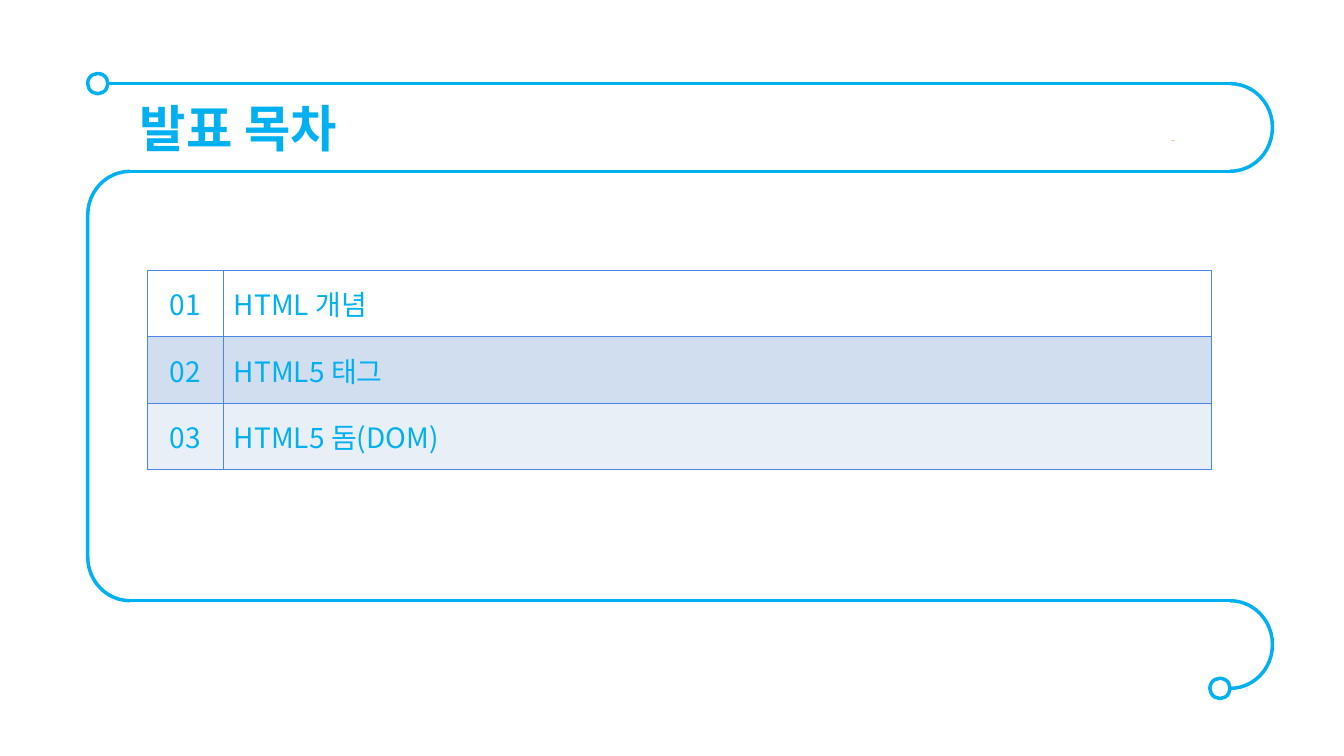
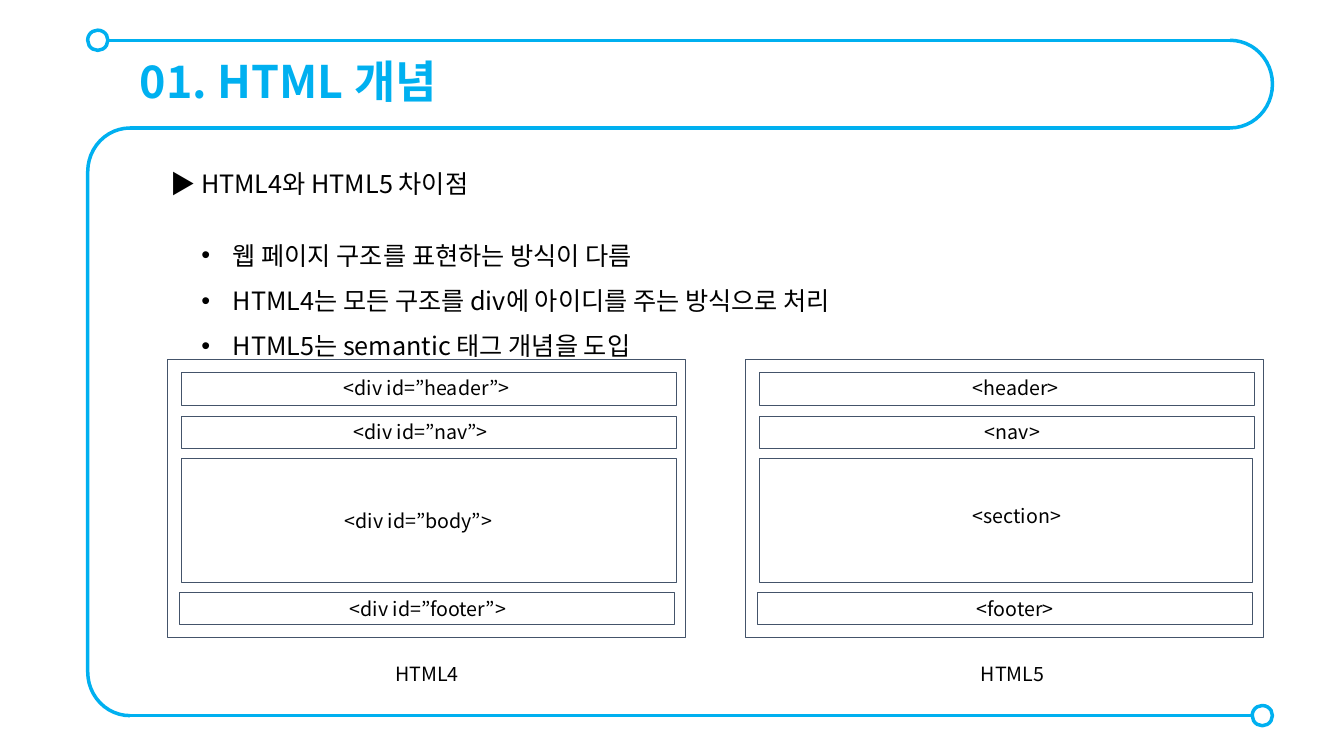
from dataclasses import dataclass

from lxml import etree
from pptx import Presentation
from pptx.dml.color import RGBColor
from pptx.enum.shapes import MSO_CONNECTOR, MSO_SHAPE
from pptx.enum.text import MSO_ANCHOR, PP_ALIGN
from pptx.oxml.ns import qn
from pptx.util import Inches, Pt

STRAIGHT = MSO_CONNECTOR.STRAIGHT
RECT, OVAL = MSO_SHAPE.RECTANGLE, MSO_SHAPE.OVAL
KNOB = MSO_SHAPE.ROUND_2_SAME_RECTANGLE
LEFT_BRACKET, RIGHT_BRACKET = MSO_SHAPE.LEFT_BRACKET, MSO_SHAPE.RIGHT_BRACKET
LEFT, CENTER = PP_ALIGN.LEFT, PP_ALIGN.CENTER
TOP, MIDDLE = MSO_ANCHOR.TOP, MSO_ANCHOR.MIDDLE

FONT = "Noto Sans CJK KR"
COLORS = {
    "accent": "00B0F0", "text": "000000", "white": "FFFFFF", "box": "44546A",
    "grid": "4A86E8", "band_dark": "D0DEEF", "band_light": "E9EFF7", "dot": "FCBC85",
}
FORMATS = {
    "cell": {"size": Pt(20)},
    "body": {"size": Pt(18)},
    "label": {"size": Pt(14)},
}

# Ribbon frame
FRAME_LEFT, FRAME_RIGHT = 0.87, 12.62
BEND, BAND_HEIGHT, KNOB_SIZE = 0.42, 0.87, 0.2
RIBBON_WIDTH = 2.5

# Page layout diagrams
PANEL_TOP, PANEL_WIDTH, PANEL_HEIGHT = 3.57, 5.14, 2.75
LABEL_HEIGHT, CAPTION_TOP = 0.44, 6.47


@dataclass(frozen=True)
class Region:
    """One area of a page layout; left is measured from its panel."""
    left: float
    top: float
    width: float
    height: float
    text: str
    label_left: float
    label_top: float
    label_width: float


@dataclass(frozen=True)
class Panel:
    left: float
    caption: str
    caption_left: float
    regions: tuple[Region, ...]


PANELS = (
    Panel(1.66, "HTML4", 3.82, (
        Region(0.14, 3.7, 4.91, 0.32, "<div id=”header”>", 3.31, 3.63, 1.93),
        Region(0.14, 4.13, 4.91, 0.32, "<div id=”nav”>", 3.41, 4.07, 1.74),
        Region(0.14, 4.55, 4.91, 1.23, "<div id=”body”>", 3.32, 4.95, 1.74),
        Region(0.12, 5.88, 4.91, 0.32, "<div id=”footer”>", 3.37, 5.82, 1.9),
    )),
    Panel(7.39, "HTML5", 9.63, (
        Region(0.14, 3.7, 4.91, 0.32, "<header>", 9.55, 3.63, 1.09),
        Region(0.14, 4.13, 4.91, 0.32, "<nav>", 9.67, 4.07, 1.05),
        Region(0.14, 4.55, 4.89, 1.23, "<section>", 9.55, 4.9, 1.17),
        Region(0.12, 5.88, 4.91, 0.32, "<footer>", 9.59, 5.82, 1.05),
    )),
)
AGENDA = (
    ("01", "HTML 개념", "white"),
    ("02", "HTML5 태그", "band_dark"),
    ("03", "HTML5 돔(DOM)", "band_light"),
)
DIFFERENCES = (
    "웹 페이지 구조를 표현하는 방식이 다름",
    "HTML4는 모든 구조를 div에 아이디를 주는 방식으로 처리",
    "HTML5는 semantic 태그 개념을 도입",
)


def rgb(name: str) -> RGBColor:
    return RGBColor.from_string(COLORS[name])


def add_run(p, text: str, color: str, values: dict) -> None:
    r = p.add_run()
    r.text = text
    for key, value in {"name": FONT, **values}.items():
        setattr(r.font, key, value)
    r.font.color.rgb = rgb(color)
    etree.SubElement(r.font._element, qn("a:ea"), typeface=FONT)


def add_text(slide, left: float, top: float, width: float, height: float,
             lines: tuple[str, ...], values: dict, color: str = "text",
             inset: float = 0.05, bullets: bool = False) -> None:
    sp = slide.shapes.add_textbox(Inches(left), Inches(top), Inches(width), Inches(height))
    tf = sp.text_frame
    frame_values = {"word_wrap": True, "vertical_anchor": TOP,
                    "margin_top": Inches(inset), "margin_bottom": Inches(inset)}
    for key, value in frame_values.items():
        setattr(tf, key, value)
    for i, line in enumerate(lines):
        p = tf.add_paragraph() if i else tf.paragraphs[0]
        if bullets:
            add_bullet(p)
        add_run(p, line, color, values)


def add_bullet(p) -> None:
    p.line_spacing = 1.5
    pr = p._p.get_or_add_pPr()
    indent = Inches(0.31)
    pr.set("marL", str(indent))
    pr.set("indent", str(-indent))
    etree.SubElement(pr, qn("a:buFont"), typeface="Arial")
    etree.SubElement(pr, qn("a:buChar"), char="•")


def add_shape(slide, kind, left: float, top: float, width: float, height: float,
              line: str | None = None, weight: float = 0.75, fill: str | None = None):
    sp = slide.shapes.add_shape(kind, Inches(left), Inches(top), Inches(width), Inches(height))
    sp.shadow.inherit = False
    if fill:
        sp.fill.solid()
        sp.fill.fore_color.rgb = rgb(fill)
    else:
        sp.fill.background()
    if line:
        sp.line.color.rgb = rgb(line)
        sp.line.width = Pt(weight)
    else:
        sp.line.fill.background()
    return sp


def add_rule(slide, x1: float, x2: float, y: float) -> None:
    """Draw a horizontal stretch of the ribbon."""
    cx = slide.shapes.add_connector(STRAIGHT, Inches(x1), Inches(y), Inches(x2), Inches(y))
    cx.line.color.rgb = rgb("accent")
    cx.line.width = Pt(RIBBON_WIDTH)
    etree.SubElement(cx._element.spPr, qn("a:effectLst"))


def add_bend(slide, kind, left: float, top: float, height: float) -> None:
    sp = add_shape(slide, kind, left, top, BEND, height, "accent", RIBBON_WIDTH)
    sp.adjustments[0] = 1.03


def add_knob(slide, left: float, y: float) -> None:
    """Draw a ribbon end, centred on height y."""
    sp = add_shape(slide, KNOB, left, y - KNOB_SIZE / 2, KNOB_SIZE, KNOB_SIZE,
                   "accent", RIBBON_WIDTH, "white")
    sp.adjustments[0] = 0.49
    sp.adjustments[1] = 0.5


def add_frame(slide, top: float, bottom: float, tail: bool) -> None:
    """Draw the ribbon; a tail curls once more below the body."""
    bend_left, bend_right = FRAME_LEFT + BEND, FRAME_RIGHT - BEND
    body_top = top + BAND_HEIGHT
    end_left = (bend_right if tail else FRAME_RIGHT) - KNOB_SIZE
    add_rule(slide, FRAME_LEFT + KNOB_SIZE, bend_right, top)
    add_bend(slide, RIGHT_BRACKET, bend_right, top, BAND_HEIGHT)
    add_rule(slide, bend_left, bend_right, body_top)
    add_bend(slide, LEFT_BRACKET, FRAME_LEFT, body_top, bottom - body_top)
    add_rule(slide, bend_left, bend_right if tail else end_left, bottom)
    if tail:
        add_bend(slide, RIGHT_BRACKET, bend_right, bottom, BAND_HEIGHT)
    add_knob(slide, FRAME_LEFT, top)
    add_knob(slide, end_left, bottom + BAND_HEIGHT if tail else bottom)


def add_title(slide, text: str, top: float, height: float, size: int) -> None:
    add_text(slide, 1.29, top, 8.3, height, (text,), {"size": Pt(size), "bold": True}, "accent")


def set_borders(cell) -> None:
    pr = cell._tc.get_or_add_tcPr()
    for i, side in enumerate(("lnL", "lnR", "lnT", "lnB")):
        ln = etree.Element(qn(f"a:{side}"), w=str(Pt(1)))
        fill = etree.SubElement(ln, qn("a:solidFill"))
        etree.SubElement(fill, qn("a:srgbClr"), val=COLORS["grid"])
        pr.insert(i, ln)


def add_agenda(slide) -> None:
    widths, row_height = (0.76, 9.8), 0.66
    table = slide.shapes.add_table(
        len(AGENDA), len(widths), Inches(1.46), Inches(2.68),
        Inches(sum(widths)), Inches(row_height * len(AGENDA))).table
    for column, width in zip(table.columns, widths):
        column.width = Inches(width)
    for row, (number, topic, fill) in zip(table.rows, AGENDA):
        row.height = Inches(row_height)
        for cell, text, align in zip(row.cells, (number, topic), (CENTER, LEFT)):
            cell.fill.solid()
            cell.fill.fore_color.rgb = rgb(fill)
            cell.vertical_anchor = MIDDLE
            set_borders(cell)
            p = cell.text_frame.paragraphs[0]
            p.alignment = align
            add_run(p, text, "accent", FORMATS["cell"])


def add_panel(slide, panel: Panel) -> None:
    add_shape(slide, RECT, panel.left, PANEL_TOP, PANEL_WIDTH, PANEL_HEIGHT, "box")
    for g in panel.regions:
        add_shape(slide, RECT, panel.left + g.left, g.top, g.width, g.height, "box")
        add_text(slide, g.label_left, g.label_top, g.label_width, LABEL_HEIGHT,
                 (g.text,), FORMATS["label"], inset=0.1)
    add_text(slide, panel.caption_left, CAPTION_TOP, 0.9, LABEL_HEIGHT,
             (panel.caption,), FORMATS["label"], inset=0.1)


def build_agenda_slide(slide) -> None:
    add_title(slide, "발표 목차", 0.91, 0.71, 36)
    add_agenda(slide)
    add_frame(slide, 0.83, 5.96, tail=True)
    add_shape(slide, OVAL, 11.62, 1.39, 0.03, 0.01, fill="dot")


def build_concept_slide(slide) -> None:
    add_frame(slide, 0.4, 7.1, tail=False)
    add_title(slide, "01. HTML 개념", 0.48, 0.64, 32)
    add_text(slide, 1.59, 1.62, 3.87, 0.4, ("▶ HTML4와 HTML5 차이점",), FORMATS["body"])
    add_text(slide, 1.9, 2.18, 10.15, 1.31, DIFFERENCES, FORMATS["body"], bullets=True)
    for panel in PANELS:
        add_panel(slide, panel)


def main() -> None:
    prs = Presentation()
    prs.slide_width, prs.slide_height = Inches(13.33), Inches(7.5)
    blank = prs.slide_layouts[6]
    for build in (build_agenda_slide, build_concept_slide):
        build(prs.slides.add_slide(blank))
    prs.save("out.pptx")


if __name__ == "__main__":
    main()
